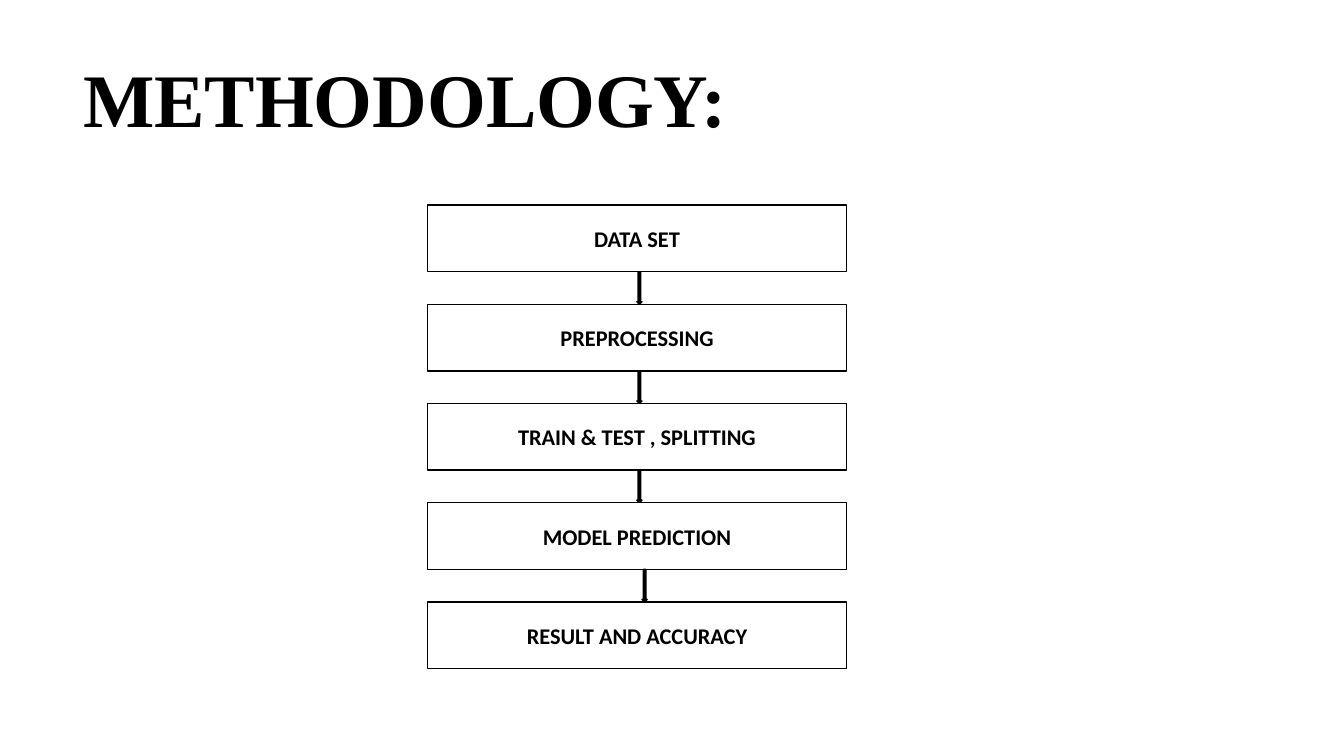
"""Build the methodology flowchart slide."""
from dataclasses import dataclass

from pptx import Presentation
from pptx.dml.color import RGBColor
from pptx.enum.shapes import MSO_SHAPE
from pptx.enum.text import MSO_ANCHOR, PP_ALIGN
from pptx.util import Cm, Pt

BLACK = RGBColor(0x00, 0x00, 0x00)
WHITE = RGBColor(0xFF, 0xFF, 0xFF)
RECT = MSO_SHAPE.RECTANGLE
DOWN_ARROW = MSO_SHAPE.DOWN_ARROW
MIDDLE = MSO_ANCHOR.MIDDLE
LEFT = PP_ALIGN.LEFT
CENTER = PP_ALIGN.CENTER

BOX_LEFT, BOX_WIDTH, BOX_HEIGHT = 10.77, 10.57, 1.68
FIRST_TOP, PITCH = 5.17, 2.5
ARROW_WIDTH = 0.13


@dataclass(frozen=True)
class Step:
    label: str
    arrow_left: float | None = 16.05


STEPS = [
    Step("DATA SET"),
    Step("PREPROCESSING"),
    Step("TRAIN & TEST , SPLITTING"),
    Step("MODEL PREDICTION", arrow_left=16.18),
    Step("RESULT AND ACCURACY", arrow_left=None),
]


def write(sp, text: str, font: str, size: float, align: PP_ALIGN):
    tf = sp.text_frame
    tf.word_wrap = True
    tf.vertical_anchor = MIDDLE
    p = tf.paragraphs[0]
    p.text = text
    p.alignment = align
    p.font.name = font
    p.font.size = Pt(size)
    p.font.bold = True
    p.font.color.rgb = BLACK
    return p


def add_block(s, kind: MSO_SHAPE, left: float, top: float, width: float,
              height: float, fill: RGBColor):
    sp = s.shapes.add_shape(kind, Cm(left), Cm(top), Cm(width), Cm(height))
    sp.shadow.inherit = False
    sp.fill.solid()
    sp.fill.fore_color.rgb = fill
    sp.line.color.rgb = BLACK
    sp.line.width = Pt(1)
    return sp


def add_title(s) -> None:
    sp = s.shapes.add_textbox(Cm(1.85), Cm(1.37), Cm(29.21), Cm(2.46))
    p = write(sp, "METHODOLOGY:", "Times New Roman", 54, LEFT)
    p.line_spacing = 0.9


def add_step(s, step: Step, top: float) -> None:
    sp = add_block(s, RECT, BOX_LEFT, top, BOX_WIDTH, BOX_HEIGHT, WHITE)
    write(sp, step.label, "Calibri", 16, CENTER)
    if step.arrow_left is not None:
        add_block(s, DOWN_ARROW, step.arrow_left, top + BOX_HEIGHT,
                  ARROW_WIDTH, PITCH - BOX_HEIGHT, BLACK)


def main() -> None:
    prs = Presentation()
    prs.slide_width, prs.slide_height = Cm(33.87), Cm(19.05)
    s = prs.slides.add_slide(prs.slide_layouts[6])
    add_title(s)
    for i, step in enumerate(STEPS):
        add_step(s, step, FIRST_TOP + i * PITCH)
    prs.save("out.pptx")


if __name__ == "__main__":
    main()
